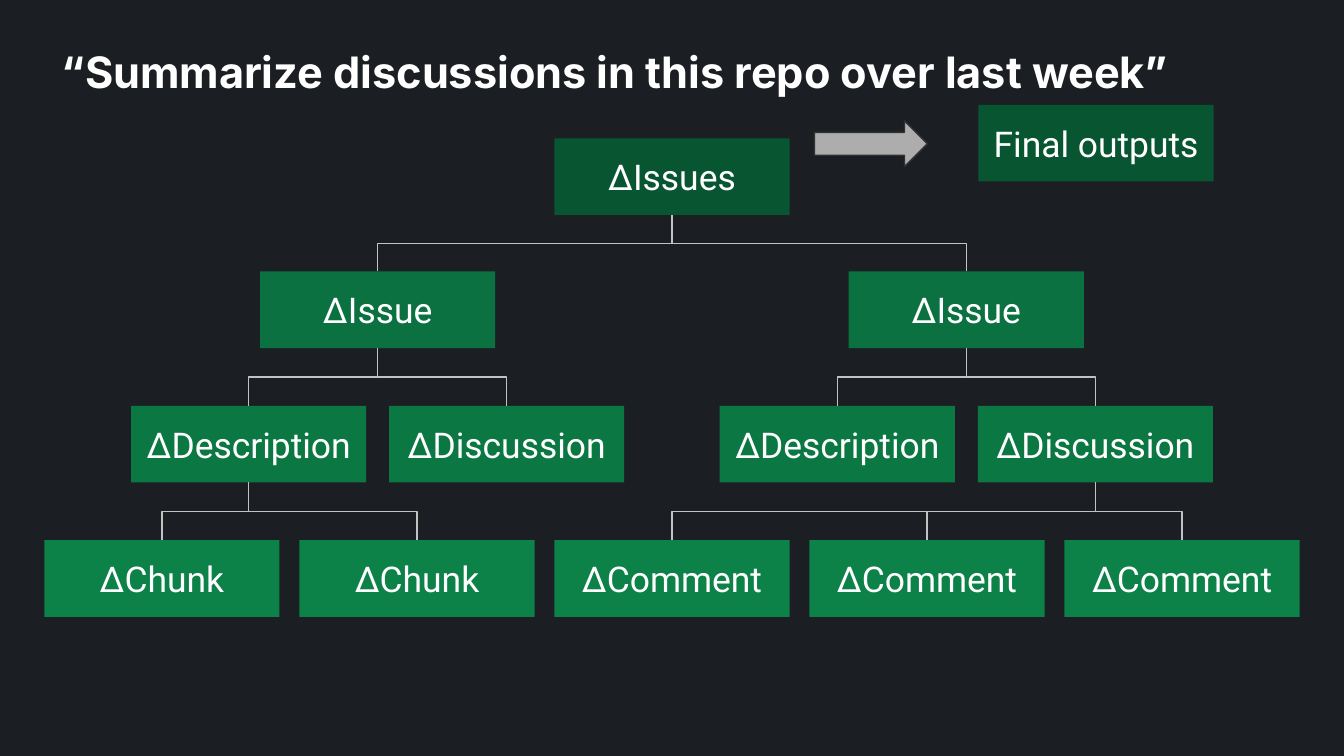
from pptx import Presentation
from pptx.dml.color import RGBColor
from pptx.enum.shapes import MSO_CONNECTOR, MSO_SHAPE
from pptx.enum.text import MSO_ANCHOR, MSO_AUTO_SIZE, PP_ALIGN
from pptx.oxml.ns import qn
from pptx.oxml.xmlchemy import OxmlElement
from pptx.util import Inches, Pt

ELBOW = MSO_CONNECTOR.ELBOW
RECTANGLE, RIGHT_ARROW = MSO_SHAPE.RECTANGLE, MSO_SHAPE.RIGHT_ARROW
LEFT, CENTER = PP_ALIGN.LEFT, PP_ALIGN.CENTER
TOP, MIDDLE = MSO_ANCHOR.TOP, MSO_ANCHOR.MIDDLE
NO_AUTOFIT = MSO_AUTO_SIZE.NONE

BACKGROUND = RGBColor(0x1B, 0x1F, 0x24)
WHITE = RGBColor(0xFF, 0xFF, 0xFF)
BRANCH_GRAY = RGBColor(0xC2, 0xC2, 0xC2)
ARROW_GRAY = RGBColor(0xAD, 0xAD, 0xAD)
ARROW_OUTLINE = RGBColor(0x30, 0x30, 0x30)
LEVEL_GREENS = [
    RGBColor(0x08, 0x56, 0x31),
    RGBColor(0x0B, 0x71, 0x40),
    RGBColor(0x0B, 0x77, 0x43),
    RGBColor(0x0C, 0x81, 0x48),
]

NODE_WIDTH, NODE_HEIGHT = Inches(1.75), Inches(0.57)
LEVEL_OFFSETS = [Inches(offset) for offset in (0, 0.99, 1.99, 2.99)]
ISSUE_OFFSET = Inches(2.19)  # issue centre from the root centre
PART_OFFSET = Inches(0.96)  # description or discussion centre from its issue
LEAF_LABELS = ["ΔChunk"] * 2 + ["ΔComment"] * 3


def format_text(shape, text, font_name, size, align, anchor, bold=False):
    frame = shape.text_frame
    frame.text = text
    frame.word_wrap = True
    frame.auto_size = NO_AUTOFIT
    frame.vertical_anchor = anchor
    frame.margin_left = frame.margin_right = Inches(0.1)
    frame.margin_top = frame.margin_bottom = Inches(0.1)
    paragraph = frame.paragraphs[0]
    paragraph.alignment = align
    font = paragraph.runs[0].font
    font.name, font.size, font.bold = font_name, Pt(size), bold
    font.color.rgb = WHITE


def add_title(slide, left, top, width, height):
    title = slide.shapes.title
    title.left, title.top, title.width, title.height = left, top, width, height
    format_text(title, "“Summarize discussions in this repo over last week”",
                "Inter", 23.2, LEFT, TOP, bold=True)


def add_node(slide, label, center, top, color):
    node = slide.shapes.add_shape(
        RECTANGLE, center - NODE_WIDTH // 2, top, NODE_WIDTH, NODE_HEIGHT)
    node.shadow.inherit = False
    node.fill.solid()
    node.fill.fore_color.rgb = color
    node.line.fill.background()
    format_text(node, label, "Roboto", 19, CENTER, MIDDLE)
    return node


def add_branch(slide, parent, child):
    """Elbow from the parent's bottom centre to the child's top centre."""
    start_y = parent.top + parent.height
    drop = child.top - start_y
    start_x = parent.left + parent.width // 2
    shift = child.left + child.width // 2 - start_x
    span = abs(shift)
    # The elbow is laid on its side, then turned so that it leaves downwards
    left = start_x + (shift - drop) // 2
    top = start_y + (drop - span) // 2
    begin_x, end_x = left, left + drop
    if shift > 0:
        begin_x, end_x = end_x, begin_x
    branch = slide.shapes.add_connector(ELBOW, begin_x, top, end_x, top + span)
    branch.line.color.rgb = BRANCH_GRAY
    branch.line.width = Pt(0.75)
    properties = branch._element.spPr
    quarter_turns = 3 if shift > 0 else 1
    properties.find(qn("a:xfrm")).set("rot", str(quarter_turns * 90 * 60000))
    properties.append(OxmlElement("a:effectLst"))


def add_tree(slide, left, top, width):
    level_tops = [top + offset for offset in LEVEL_OFFSETS]

    def add_child(parent, label, center, level):
        child = add_node(slide, label, center, level_tops[level], LEVEL_GREENS[level])
        add_branch(slide, parent, child)
        return child

    # Root, issues and their parts
    root_center = left + width // 2
    root = add_node(slide, "ΔIssues", root_center, level_tops[0], LEVEL_GREENS[0])
    parts = []
    for side in (-1, 1):
        issue_center = root_center + side * ISSUE_OFFSET
        issue = add_child(root, "ΔIssue", issue_center, 1)
        for label, offset in (("ΔDescription", -PART_OFFSET), ("ΔDiscussion", PART_OFFSET)):
            parts.append(add_child(issue, label, issue_center + offset, 2))

    # Evenly spread leaves under the first description and the last discussion
    leaf_pitch = (width - NODE_WIDTH) // (len(LEAF_LABELS) - 1)
    for index, label in enumerate(LEAF_LABELS):
        parent = parts[0] if label == "ΔChunk" else parts[-1]
        add_child(parent, label, left + NODE_WIDTH // 2 + index * leaf_pitch, 3)


def add_final_outputs(slide, left, top, width):
    arrow = slide.shapes.add_shape(
        RIGHT_ARROW, left, top + Inches(0.12), Inches(0.84), Inches(0.34))
    arrow.shadow.inherit = False
    arrow.fill.solid()
    arrow.fill.fore_color.rgb = ARROW_GRAY
    arrow.line.color.rgb = ARROW_OUTLINE
    arrow.line.width = Pt(0.75)
    add_node(slide, "Final outputs", left + width - NODE_WIDTH // 2, top, LEVEL_GREENS[0])


def main():
    presentation = Presentation()
    presentation.slide_width = Inches(10)
    presentation.slide_height = presentation.slide_width * 9 // 16
    slide = presentation.slides.add_slide(presentation.slide_layouts[5])
    slide.background.fill.solid()
    slide.background.fill.fore_color.rgb = BACKGROUND

    add_title(slide, Inches(0.36), Inches(0.24), Inches(8.67), Inches(0.63))
    add_tree(slide, Inches(0.33), Inches(1.03), Inches(9.34))
    add_final_outputs(slide, Inches(6.06), Inches(0.78), Inches(2.97))
    presentation.save("out.pptx")


if __name__ == "__main__":
    main()
